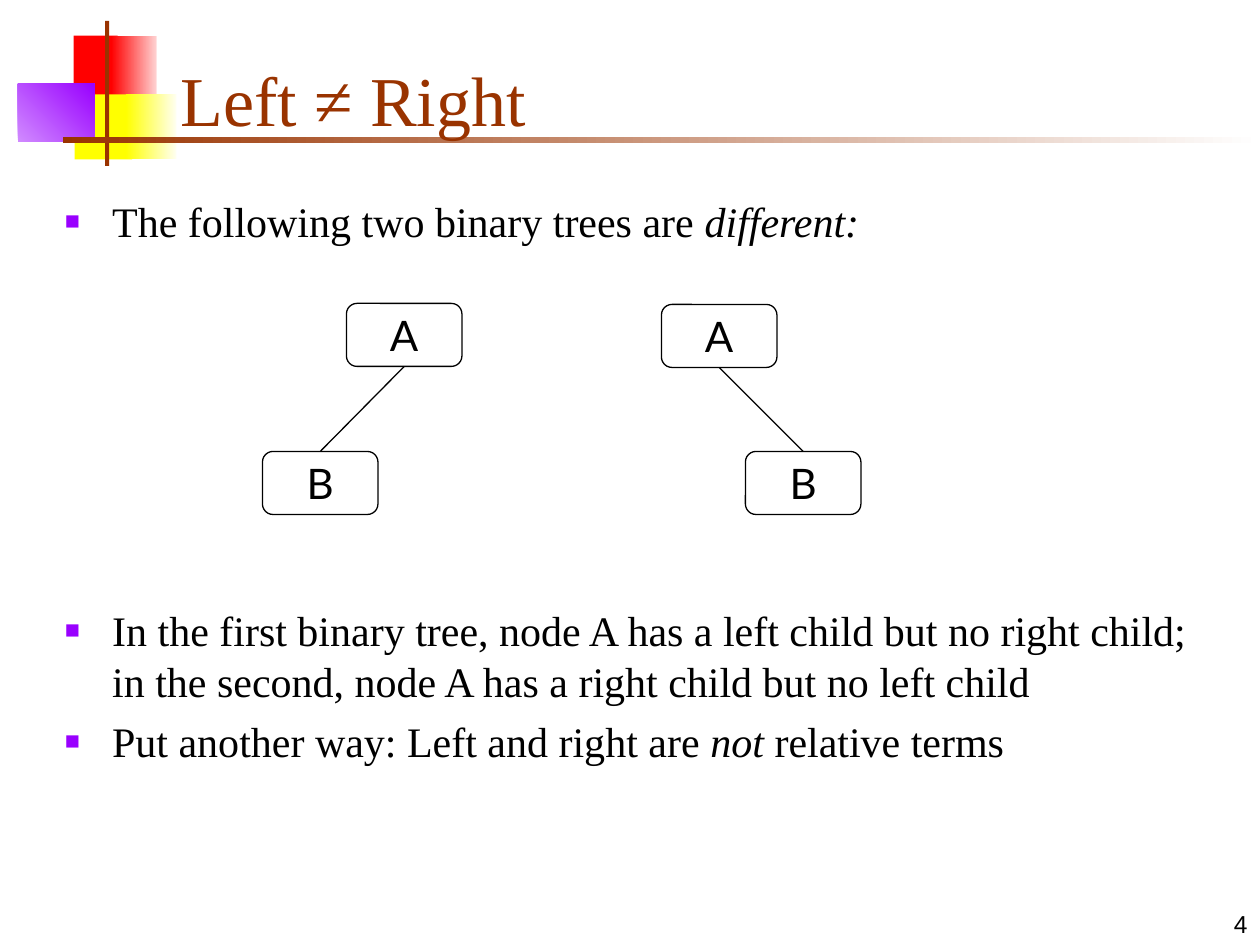
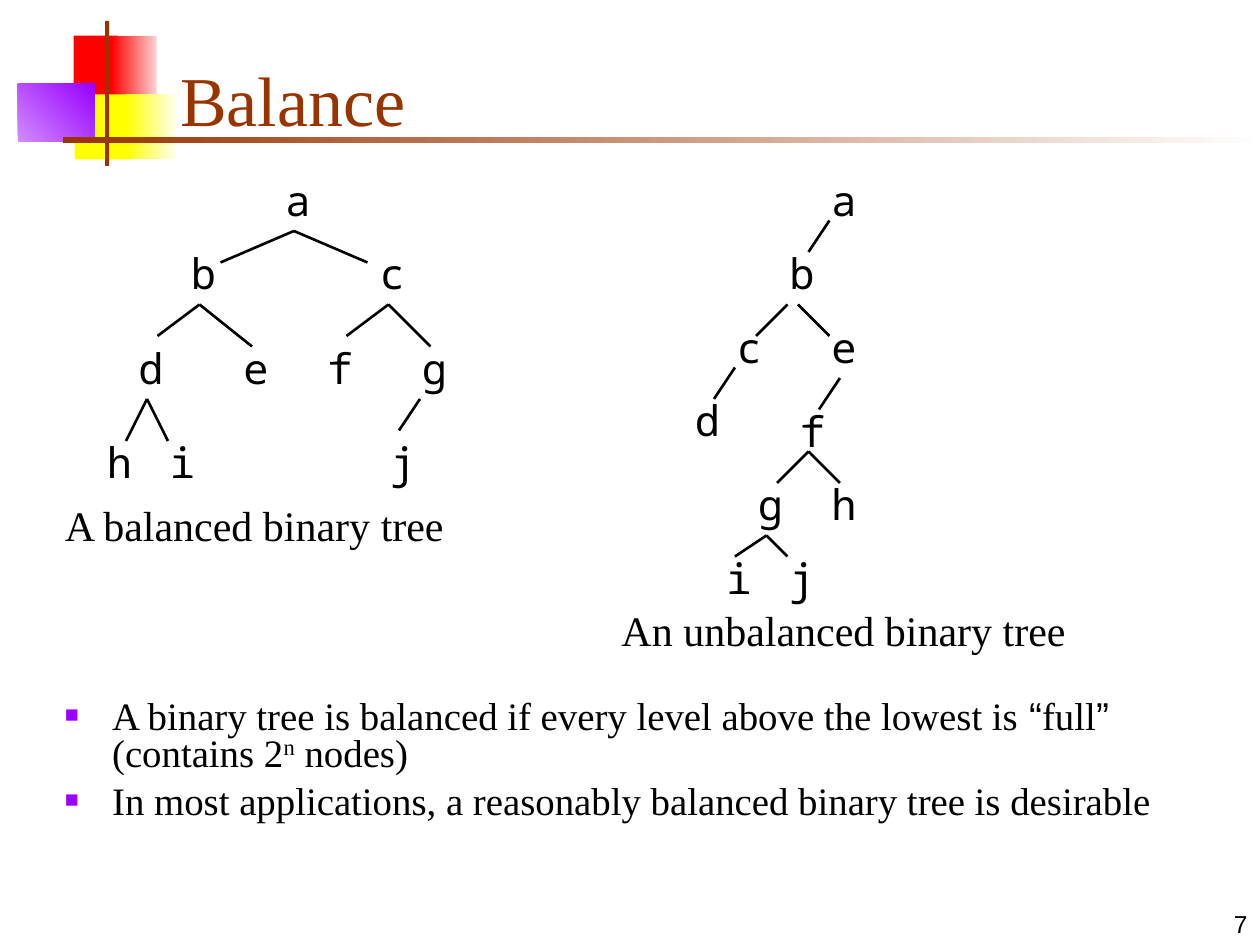
from lxml import etree
from pptx import Presentation
from pptx.dml.color import RGBColor
from pptx.enum.shapes import MSO_CONNECTOR, MSO_SHAPE
from pptx.enum.text import MSO_ANCHOR, PP_ALIGN
from pptx.oxml.ns import qn
from pptx.util import Pt

PX = 914400 // 120
RECT, ROUNDED = MSO_SHAPE.RECTANGLE, MSO_SHAPE.ROUNDED_RECTANGLE
STRAIGHT = MSO_CONNECTOR.STRAIGHT
TOP, MIDDLE, BOTTOM = MSO_ANCHOR.TOP, MSO_ANCHOR.MIDDLE, MSO_ANCHOR.BOTTOM
LEFT, CENTER, RIGHT = PP_ALIGN.LEFT, PP_ALIGN.CENTER, PP_ALIGN.RIGHT
SERIF, SANS, MONO, NODE = "Times New Roman", "Arial", "Noto Sans Mono", "Lato"
COLORS = {
    "ink": "000000", "rust": "993300", "white": "FFFFFF",
    "red": "FF0000", "pale red": "FFD1D1",
    "yellow": "FFFF00", "pale yellow": "FFFFF0",
    "purple": "9900FF", "pale purple": "D18BFF",
}
ORNAMENT = [
    ((70, 34, 42, 62), ["red"], 0),
    ((106, 34, 43, 62), ["red", "pale red"], 0),
    ((71, 90, 55, 62), ["yellow"], 0),
    ((120, 90, 48, 62), ["yellow", "pale yellow"], 0),
    ((17, 80, 73, 55), ["pale purple", "purple"], 45),
    ((100, 20, 4, 138), ["rust"], 0),
    ((60, 130, 1140, 6), ["rust", "white"], 0),
]
NODE_SIZE = (110, 60)
PARENT_CHILD = [((330, 289), (250, 430)), ((630, 290), (710, 430))]
BALANCED = {
    "letters": {
        "a": (260, 160), "b": (170, 230), "c": (350, 230), "d": (120, 320),
        "e": (220, 320), "f": (300, 320), "g": (390, 320), "h": (90, 410),
        "i": (150, 410), "j": (360, 410),
    },
    "branches": [
        ((280, 220), [(210, 250), (350, 250)]),
        ((190, 290), [(150, 320), (240, 330)]),
        ((370, 290), [(330, 320), (410, 330)]),
        ((140, 380), [(120, 420), (160, 420)]),
        ((400, 380), [(380, 410)]),
    ],
    "caption": ("A balanced binary tree", (50, 470, 410, 60)),
}
UNBALANCED = {
    "letters": {
        "a": (780, 160), "b": (740, 230), "c": (690, 300), "d": (650, 370),
        "e": (780, 300), "f": (750, 380), "g": (710, 450), "h": (780, 450),
        "i": (680, 520), "j": (740, 520),
    },
    "branches": [
        ((790, 210), [(770, 240)]),
        ((750, 290), [(720, 320)]),
        ((700, 350), [(680, 380)]),
        ((760, 290), [(790, 320)]),
        ((800, 360), [(780, 390)]),
        ((770, 430), [(740, 460), (800, 460)]),
        ((730, 510), [(700, 530), (750, 530)]),
    ],
    "caption": ("An unbalanced binary tree", (580, 570, 450, 60)),
}


def rgb(name):
    """Return the named colour."""
    return RGBColor.from_string(COLORS[name])


def apply(target, values):
    """Set each attribute of the target from a dict."""
    for name, value in values.items():
        setattr(target, name, value)


class Deck:
    """Holds the presentation, its style and the current slide."""

    def __init__(self):
        """Start a 4:3 presentation."""
        self.file = Presentation()
        apply(self.file, {"slide_width": 1200 * PX, "slide_height": 900 * PX})

    def slide(self, title, number):
        """Add a slide with the ornament, title and number."""
        self.shapes = self.file.slides.add_slide(self.file.slide_layouts[6]).shapes
        for box, colors, angle in ORNAMENT:
            self.block(box, colors, angle)
        self.text(number, (950, 840, 250, 60), SANS, 14, anchor=BOTTOM, align=RIGHT)
        self.text(title, (160, 30, 1022, 110), SERIF, 40, "rust", BOTTOM)

    def shape(self, kind, box):
        """Add a preset shape without a shadow."""
        shape = self.shapes.add_shape(kind, *(n * PX for n in box))
        shape.shadow.inherit = False
        return shape

    def block(self, box, colors, angle):
        """Add a rectangle with a plain or two-colour fill."""
        block = self.shape(RECT, box)
        block.line.fill.background()
        if len(colors) == 1:
            block.fill.solid()
            block.fill.fore_color.rgb = rgb(colors[0])
            return
        block.fill.gradient()
        block.fill.gradient_angle = angle
        for position, (stop, color) in enumerate(zip(block.fill.gradient_stops, colors)):
            stop.color.rgb = rgb(color)
            stop.position = position

    def run(self, paragraph, text, font, size, color="ink", raised=False, **style):
        """Add one formatted run."""
        run = paragraph.add_run()
        run.text = text
        apply(run.font, {"name": font, "size": Pt(size), **style})
        run.font.color.rgb = rgb(color)
        if raised:
            run.font._element.set("baseline", "30000")

    def frame(self, box, anchor=TOP):
        """Add an empty wrapping text box."""
        frame = self.shapes.add_textbox(*(n * PX for n in box)).text_frame
        apply(frame, {"word_wrap": True, "vertical_anchor": anchor})
        return frame

    def text(self, text, box, font, size, color="ink", anchor=TOP, align=LEFT):
        """Add one line of text."""
        line = self.frame(box, anchor).paragraphs[0]
        line.alignment = align
        self.run(line, text, font, size, color)

    def bullets(self, items, box, size=24, spacing=1.0):
        """Add bulleted paragraphs, each a list of (text, style) runs."""
        frame = self.frame(box)
        for index, runs in enumerate(items):
            item = frame.add_paragraph() if index else frame.paragraphs[0]
            apply(item, {"space_before": Pt(6), "line_spacing": spacing})
            properties = item._p.get_or_add_pPr()
            properties.set("marL", str(45 * PX))
            properties.set("indent", str(-45 * PX))
            color = etree.SubElement(properties, qn("a:buClr"))
            etree.SubElement(color, qn("a:srgbClr"), val=COLORS["purple"])
            etree.SubElement(properties, qn("a:buSzPct"), val="60000")
            etree.SubElement(properties, qn("a:buFont"), typeface=SANS)
            etree.SubElement(properties, qn("a:buChar"), char="■")
            for text, style in runs:
                self.run(item, text, **{"font": SERIF, "size": size, **style})

    def line(self, start, end, width):
        """Add a straight line."""
        line = self.shapes.add_connector(STRAIGHT, *(n * PX for n in (*start, *end)))
        line.line.width = Pt(width)
        line.line.color.rgb = rgb("ink")
        etree.SubElement(line._element.spPr, qn("a:effectLst"))

    def node(self, letter, corner):
        """Add a rounded node holding a letter."""
        node = self.shape(ROUNDED, (*corner, *NODE_SIZE))
        node.fill.background()
        node.line.width = Pt(0.75)
        node.line.color.rgb = rgb("ink")
        apply(node.text_frame, {"word_wrap": False, "vertical_anchor": MIDDLE})
        label = node.text_frame.paragraphs[0]
        label.alignment = CENTER
        self.run(label, letter, NODE, 24)

    def tree(self, letters, branches, caption):
        """Add a tree of letters with its branches and caption."""
        for letter, corner in letters.items():
            self.text(letter, (*corner, 50, 60), MONO, 24)
        for fork, ends in branches:
            for end in ends:
                self.line(fork, end, 1.5)
        self.text(*caption, SERIF, 24)


def main():
    """Build and save both slides."""
    deck = Deck()
    italic, quote = {"italic": True}, {"font": SANS}

    deck.slide("Left ≠ Right", "4")
    deck.bullets([
        [("The following two binary trees are ", {}), ("different:", italic)],
    ], (50, 180, 1120, 250))
    deck.bullets([
        [("In the first binary tree, node A has a left child but no right child; "
          "in the second, node A has a right child but no left child", {})],
        [("Put another way: Left and right are ", {}), ("not", italic),
         (" relative terms", {})],
    ], (50, 570, 1096, 235))
    width, height = NODE_SIZE
    for parent, child in PARENT_CHILD:
        deck.node("A", parent)
        deck.node("B", child)
        deck.line((parent[0] + width // 2, parent[1] + height),
                  (child[0] + width // 2, child[1]), 0.75)

    deck.slide("Balance", "7")
    deck.bullets([
        [("A binary tree is balanced if every level above the lowest is ", {}),
         ("“", quote), ("full", {}), ("”", quote), (" (contains 2", {}),
         ("n", {"raised": True}), (" nodes)", {})],
        [("In most applications, a reasonably balanced binary tree is desirable", {})],
    ], (50, 661, 1126, 143), 22.2, 0.8)
    for tree in (BALANCED, UNBALANCED):
        deck.tree(**tree)

    deck.file.save("out.pptx")


if __name__ == "__main__":
    main()
